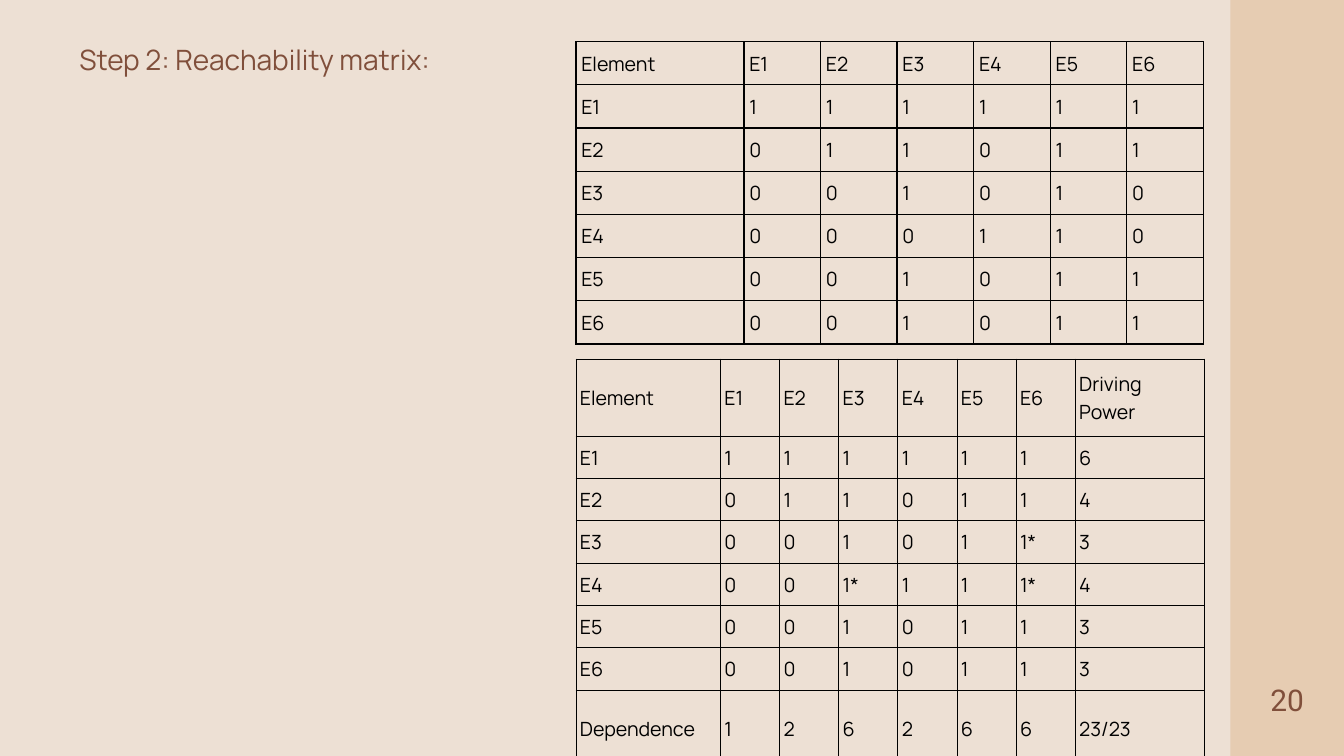
from lxml.etree import SubElement
from pptx import Presentation
from pptx.dml.color import RGBColor
from pptx.enum.shapes import MSO_SHAPE as Shape
from pptx.enum.text import MSO_ANCHOR as Anchor, PP_ALIGN as Align
from pptx.oxml.ns import qn
from pptx.util import Inches, Pt

COLORS = {
    "background": "EDE0D4",
    "sidebar": "E6CCB2",
    "accent": "804F3B",
    "ink": "000000",
}
WIDTH, HEIGHT = 20, 11.25
GRID_COLUMNS, GRID_ROWS = 20, 11.25

ELEMENTS = ["E1", "E2", "E3", "E4", "E5", "E6"]
INITIAL_LINKS = ["111111", "011011", "001010", "000110", "001011", "001011"]
TRANSITIVE_LINKS = {("E3", "E6"), ("E4", "E3"), ("E4", "E6")}


class MatrixSlide:
    font = "Manrope"

    def __init__(self, presentation):
        self.column = presentation.slide_width / GRID_COLUMNS
        self.row = presentation.slide_height / GRID_ROWS
        self.slide = presentation.slides.add_slide(presentation.slide_layouts[6])
        background = self.slide.background.fill
        background.solid()
        background.fore_color.rgb = self.color("background")

    def color(self, name):
        return RGBColor.from_string(COLORS[name])

    def place(self, left, top, width, height):
        return (round(left * self.column), round(top * self.row),
                round(width * self.column), round(height * self.row))

    def style(self, paragraph, size, spacing, color, font=None):
        paragraph.line_spacing = Pt(spacing)
        paragraph.font.size = Pt(size)
        paragraph.font.name = font or self.font
        paragraph.font.color.rgb = self.color(color)

    def panel(self, *area, color):
        shape = self.slide.shapes.add_shape(Shape.RECTANGLE, *self.place(*area))
        shape.shadow.inherit = False
        shape.fill.solid()
        shape.fill.fore_color.rgb = self.color(color)
        shape.line.fill.background()

    def text(self, content, *area, size, spacing, font=None):
        frame = self.slide.shapes.add_textbox(*self.place(*area)).text_frame
        frame.word_wrap = True
        frame.margin_left = frame.margin_right = 0
        frame.margin_top = frame.margin_bottom = 0
        paragraph = frame.paragraphs[0]
        paragraph.text = content
        paragraph.alignment = Align.CENTER
        self.style(paragraph, size, spacing, "accent", font)

    def border(self, cell, width):
        properties = cell._tc.get_or_add_tcPr()
        for side in ("lnL", "lnR", "lnT", "lnB"):
            line = SubElement(properties, qn(f"a:{side}"), w=str(Pt(width)))
            fill = SubElement(line, qn("a:solidFill"))
            SubElement(fill, qn("a:srgbClr"), val=COLORS["ink"])

    def table(self, rows, left, top, widths, heights, margin, border):
        area = self.place(left, top, sum(widths), sum(heights))
        table = self.slide.shapes.add_table(len(rows), len(widths), *area).table
        table.first_row = table.horz_banding = False
        for column, width in zip(table.columns, widths):
            column.width = round(width * self.column)
        for row, height in zip(table.rows, heights):
            row.height = round(height * self.row)
        for row, values in zip(table.rows, rows):
            for cell, value in zip(row.cells, values):
                self.border(cell, border)
                cell.fill.background()
                cell.vertical_anchor = Anchor.MIDDLE
                cell.margin_left = cell.margin_right = Inches(margin)
                cell.margin_top = cell.margin_bottom = Inches(margin)
                paragraph = cell.text_frame.paragraphs[0]
                paragraph.text = value
                self.style(paragraph, 21, 29.4, "ink")


def initial_matrix():
    return [["Element", *ELEMENTS]] + [
        [element, *links] for element, links in zip(ELEMENTS, INITIAL_LINKS)]


def final_matrix():
    matrix = [
        ["1*" if (source, target) in TRANSITIVE_LINKS else link
         for target, link in zip(ELEMENTS, links)]
        for source, links in zip(ELEMENTS, INITIAL_LINKS)]
    reached = [[value != "0" for value in row] for row in matrix]
    driving = [sum(row) for row in reached]
    dependence = [sum(column) for column in zip(*reached)]
    body = [[element, *row, str(power)]
            for element, row, power in zip(ELEMENTS, matrix, driving)]
    total = f"{sum(driving)}/{sum(dependence)}"
    return [["Element", *ELEMENTS, "Driving Power"], *body,
            ["Dependence", *map(str, dependence), total]]


def main():
    presentation = Presentation()
    presentation.slide_width = Inches(WIDTH)
    presentation.slide_height = Inches(HEIGHT)
    page = MatrixSlide(presentation)
    count = len(ELEMENTS)

    page.panel(18.31, 0, GRID_COLUMNS - 18.31, GRID_ROWS, color="sidebar")
    page.table(initial_matrix(), 8.57, 0.62, [2.5] + [1.14] * count,
               [4.5 / (count + 1)] * (count + 1), margin=0.08, border=1.5)
    page.table(final_matrix(), 8.57, 5.34, [2.15] + [0.88] * count + [1.92],
               [1.15] + [0.63] * count + [1.15], margin=0.06, border=0.75)
    page.text("Step 2: Reachability matrix:", 0.48, 0.55, 6.62, 0.57,
              size=30, spacing=42)
    page.text("20", 18.73, 10.06, 0.85, 0.59, size=32, spacing=44.8, font="Roboto")

    presentation.save("out.pptx")


if __name__ == "__main__":
    main()
